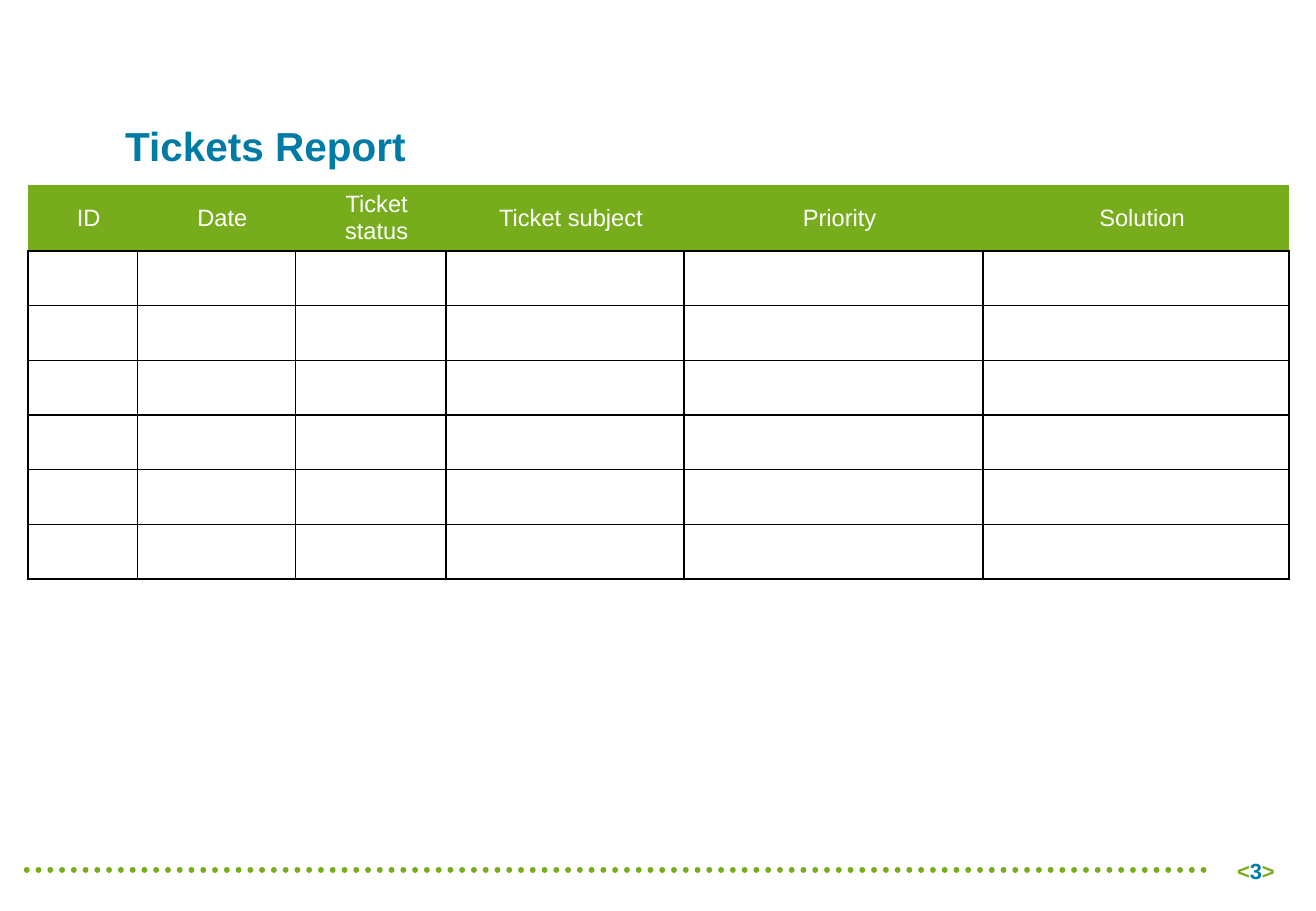
from lxml.etree import SubElement
from pptx import Presentation
from pptx.dml.color import RGBColor
from pptx.enum.dml import MSO_LINE
from pptx.enum.shapes import MSO_CONNECTOR
from pptx.enum.text import MSO_ANCHOR as Anchor, PP_ALIGN as Align
from pptx.oxml import parse_xml
from pptx.oxml.ns import nsdecls, qn
from pptx.util import Inches, Pt

GREEN = RGBColor(0x77, 0xAD, 0x1C)
BLUE = RGBColor(0x00, 0x7B, 0xA5)
WHITE = RGBColor(0xFF, 0xFF, 0xFF)
BLACK = RGBColor(0x00, 0x00, 0x00)
FONT = "Arial"

# Content: column headings with widths in inches
TITLE = "Tickets Report"
COLUMNS = [("ID", 0.9), ("Date", 1.3), ("Ticket status", 1.24),
           ("Ticket subject", 1.96), ("Priority", 2.46), ("Solution", 2.52)]
EMPTY_ROWS = 6
HEADER_HEIGHT, ROW_HEIGHT = 0.52, 0.45
PAGE_NUMBER = [("<", GREEN), ("3", BLUE), (">", GREEN)]


def style(font, size, color, bold=False):
    font.name, font.size, font.bold = FONT, Pt(size), bold
    font.color.rgb = color


def set_borders(cell, visible_sides):
    """Draw 1 pt black borders on the visible sides and none elsewhere."""
    properties = cell._tc.get_or_add_tcPr()
    for position, side in enumerate("LRTB"):
        paint = (f'<a:solidFill><a:srgbClr val="{BLACK}"/></a:solidFill>'
                 if side in visible_sides else "<a:noFill/>")
        border = parse_xml(f'<a:ln{side} {nsdecls("a")} w="12700">{paint}</a:ln{side}>')
        properties.insert(position, border)


deck = Presentation()
deck.slide_width, deck.slide_height = Inches(10.83), Inches(7.5)
slide = deck.slides.add_slide(deck.slide_layouts[5])

# Title
title = slide.shapes.title
title.left, title.top, title.width, title.height = map(Inches, (0.93, 0.7, 7.17, 0.99))
title.text_frame.text = TITLE
title.text_frame.vertical_anchor = Anchor.MIDDLE
heading = title.text_frame.paragraphs[0]
heading.alignment = Align.LEFT
style(heading.runs[0].font, 24, BLUE, bold=True)

# Dotted footer rule
rule = slide.shapes.add_connector(MSO_CONNECTOR.STRAIGHT, Inches(0.22), Inches(7.16),
                                  Inches(9.98), Inches(7.16))
rule.line.color.rgb = GREEN
rule.line.width = Pt(3.5)
rule.line.dash_style = MSO_LINE.ROUND_DOT
rule.line._get_or_add_ln().set("cap", "rnd")
SubElement(rule._element.spPr, qn("a:effectLst"))

# Page number
page = slide.shapes.add_textbox(Inches(9.59), Inches(7.06), Inches(0.9), Inches(0.21)).text_frame
page.word_wrap = True
page.vertical_anchor = Anchor.MIDDLE
page.margin_left = page.margin_right = page.margin_top = page.margin_bottom = 0
page.paragraphs[0].alignment = Align.RIGHT
for text, color in PAGE_NUMBER:
    run = page.paragraphs[0].add_run()
    run.text = text
    style(run.font, 13, color, bold=True)

# Tickets table
table_width = sum(width for _, width in COLUMNS)
table_height = HEADER_HEIGHT + EMPTY_ROWS * ROW_HEIGHT
tickets = slide.shapes.add_table(EMPTY_ROWS + 1, len(COLUMNS), Inches(0.23), Inches(1.52),
                                 Inches(table_width), Inches(table_height)).table
tickets.horz_banding = False
for row_index, row in enumerate(tickets.rows):
    is_header = row_index == 0
    row.height = Inches(HEADER_HEIGHT if is_header else ROW_HEIGHT)
    for cell in row.cells:
        cell.fill.solid()
        cell.fill.fore_color.rgb = GREEN if is_header else WHITE
        set_borders(cell, "B" if is_header else "LRTB")

for (name, width), column, cell in zip(COLUMNS, tickets.columns, tickets.rows[0].cells):
    column.width = Inches(width)
    cell.text_frame.text = name
    cell.vertical_anchor = Anchor.MIDDLE
    cell.margin_left = cell.margin_right = cell.margin_top = cell.margin_bottom = Inches(0.04)
    label = cell.text_frame.paragraphs[0]
    label.alignment = Align.CENTER
    label._p.get_or_add_pPr().set("marL", str(Inches(0.1)))
    style(label.runs[0].font, 14, WHITE)

deck.save("out.pptx")
